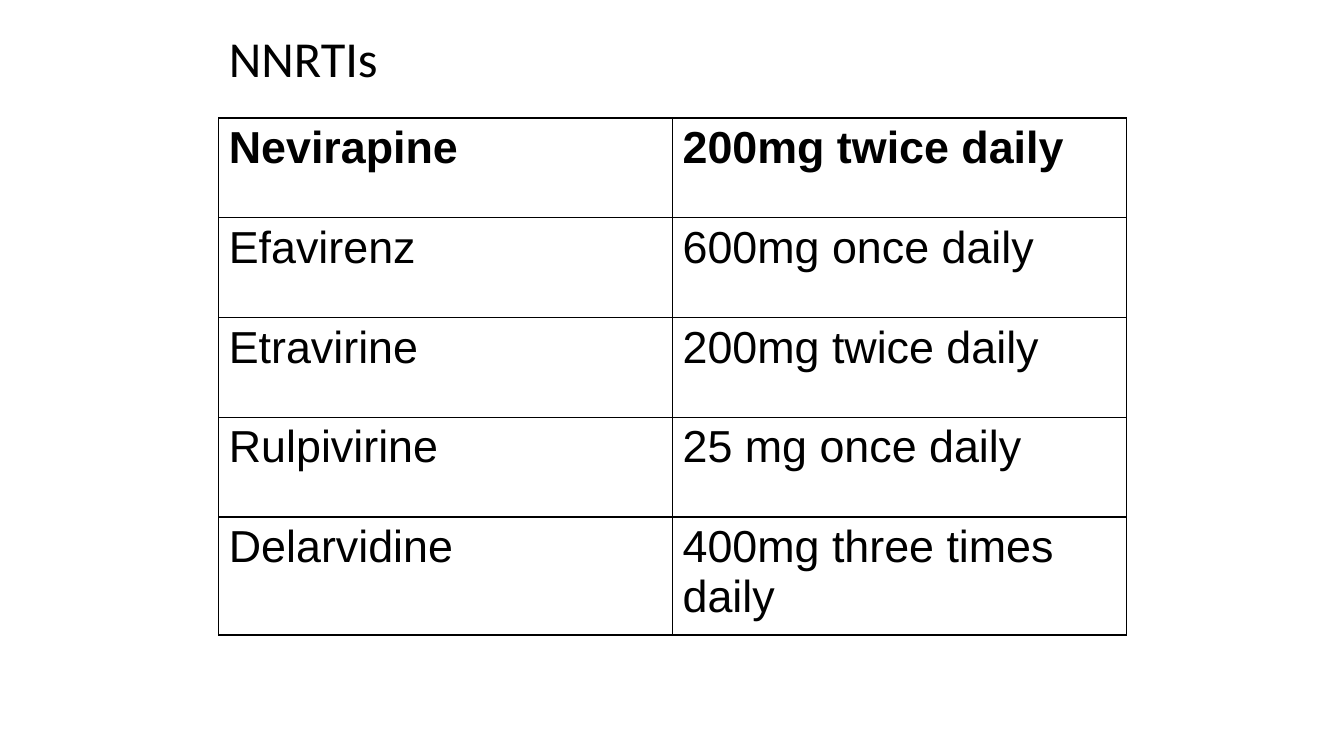
from dataclasses import dataclass

from lxml.etree import SubElement
from pptx import Presentation
from pptx.dml.color import RGBColor as Color
from pptx.enum.text import MSO_ANCHOR as Anchor, PP_ALIGN as Align
from pptx.oxml.ns import qn
from pptx.util import Inches, Pt


@dataclass(frozen=True)
class Theme:
    ink: str = "000000"
    paper: str = "FFFFFF"
    title_font: str = "Calibri"
    table_font: str = "Arial"
    title_size: int = 36
    table_size: int = 32
    border_width: int = 1


THEME = Theme()
LEFT, COLUMN = 2.17, 4.5
TITLE_TOP, TITLE_HEIGHT = 0.3, 0.62
TABLE_TOP = 1.17
ROW_HEIGHTS = [0.99] * 4 + [1.17]
DOSES = [
    ("Nevirapine", "200mg twice daily"),
    ("Efavirenz", "600mg once daily"),
    ("Etravirine", "200mg twice daily"),
    ("Rulpivirine", "25 mg once daily"),
    ("Delarvidine", "400mg three times daily"),
]


def write_text(frame, text, *, font, size, bold=False, spacing=1.0, anchor=Anchor.TOP):
    frame.word_wrap = True
    frame.vertical_anchor = anchor
    paragraph = frame.paragraphs[0]
    paragraph.alignment = Align.LEFT
    paragraph.line_spacing = spacing
    run = paragraph.add_run()
    run.text = text
    run.font.name = font
    run.font.size = Pt(size)
    run.font.bold = bold
    run.font.color.rgb = Color.from_string(THEME.ink)


def draw_borders(cell):
    properties = cell._tc.get_or_add_tcPr()
    for position, side in enumerate(("a:lnL", "a:lnR", "a:lnT", "a:lnB")):
        border = SubElement(properties, qn(side), w=str(Pt(THEME.border_width)))
        ink = SubElement(border, qn("a:solidFill"))
        SubElement(ink, qn("a:srgbClr"), val=THEME.ink)
        properties.insert(position, border)


def add_title(slide, text):
    title = slide.shapes.title
    title.left, title.top = Inches(LEFT), Inches(TITLE_TOP)
    title.width, title.height = Inches(2 * COLUMN), Inches(TITLE_HEIGHT)
    write_text(title.text_frame, text, font=THEME.title_font,
               size=THEME.title_size, spacing=0.9, anchor=Anchor.MIDDLE)


def add_dose_table(slide, doses):
    table = slide.shapes.add_table(
        len(doses), 2, Inches(LEFT), Inches(TABLE_TOP),
        Inches(2 * COLUMN), Inches(sum(ROW_HEIGHTS))).table
    table.horz_banding = False
    for column in table.columns:
        column.width = Inches(COLUMN)
    for row_index, (dose, height) in enumerate(zip(doses, ROW_HEIGHTS)):
        table.rows[row_index].height = Inches(height)
        for column_index, text in enumerate(dose):
            cell = table.cell(row_index, column_index)
            cell.fill.solid()
            cell.fill.fore_color.rgb = Color.from_string(THEME.paper)
            draw_borders(cell)
            write_text(cell.text_frame, text, font=THEME.table_font,
                       size=THEME.table_size, bold=row_index == 0)


def main():
    deck = Presentation()
    deck.slide_width, deck.slide_height = Inches(13.33), Inches(7.5)
    slide = deck.slides.add_slide(deck.slide_layouts[5])
    slide.background.fill.solid()
    slide.background.fill.fore_color.rgb = Color.from_string(THEME.paper)
    add_title(slide, "NNRTIs")
    add_dose_table(slide, DOSES)
    deck.save("out.pptx")


if __name__ == "__main__":
    main()
